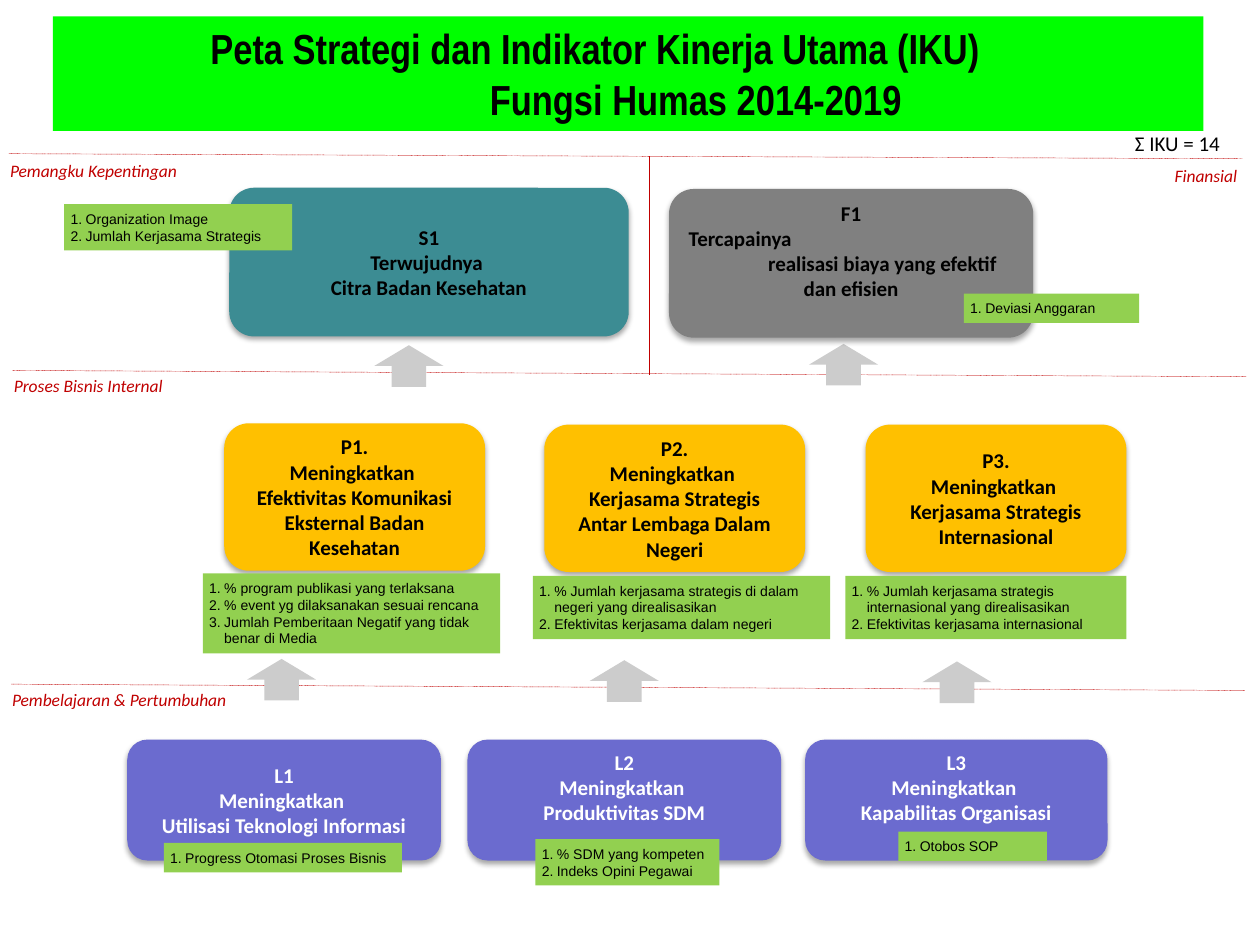
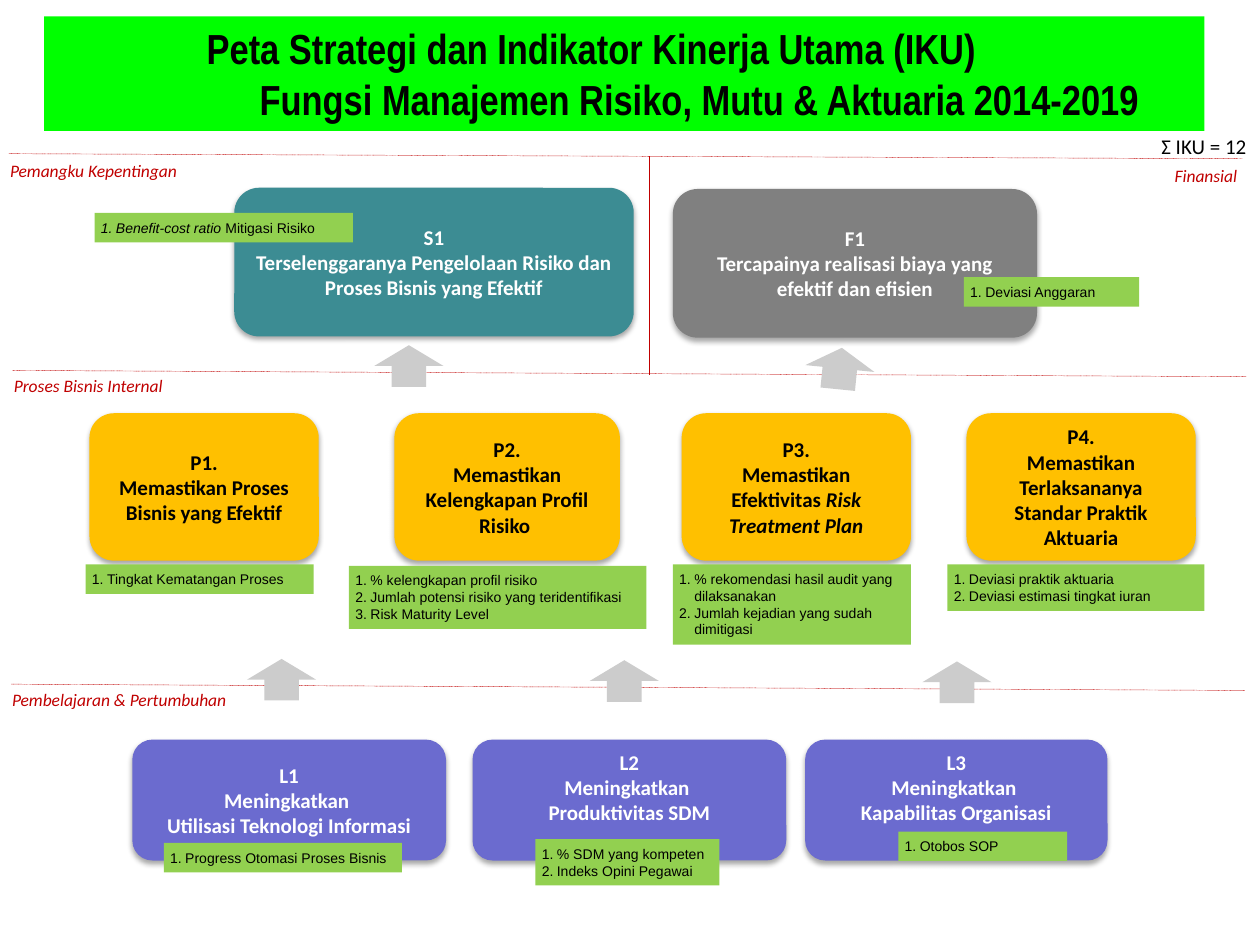
"""Builds two strategy maps with their key performance indicators."""
from collections import namedtuple
from math import ceil

from lxml import etree
from pptx import Presentation
from pptx.dml.color import RGBColor
from pptx.enum.dml import MSO_LINE
from pptx.enum.shapes import MSO_CONNECTOR, MSO_SHAPE
from pptx.enum.text import MSO_ANCHOR, MSO_AUTO_SIZE, PP_ALIGN
from pptx.oxml.ns import qn
from pptx.util import Inches, Pt

ROUNDED, RECTANGLE, UP_ARROW = MSO_SHAPE.ROUNDED_RECTANGLE, MSO_SHAPE.RECTANGLE, MSO_SHAPE.UP_ARROW
STRAIGHT, DOTTED = MSO_CONNECTOR.STRAIGHT, MSO_LINE.ROUND_DOT
LEFT, CENTER, RIGHT = PP_ALIGN.LEFT, PP_ALIGN.CENTER, PP_ALIGN.RIGHT
TOP, MIDDLE = MSO_ANCHOR.TOP, MSO_ANCHOR.MIDDLE
FIXED_SIZE = MSO_AUTO_SIZE.NONE

Style = namedtuple("Style", "font size color bold italic", defaults=(False, False))
Kind = namedtuple("Kind", "fill height")
Objective = namedtuple("Objective", "kind left top width lines note spare", defaults=(0,))
Note = namedtuple("Note", "left top width items")
Indented = namedtuple("Indented", "text margin")


class Theme:
    """Colours, type styles and text measures."""
    title_fill, note_fill, arrow_fill, rule = "00FF00", "92D050", "CCCCCC", "C00000"
    title = Style("Arial Narrow", 24, "000000", bold=True)
    dark = Style("Calibri", 12, "000000", bold=True)
    light = Style("Calibri", 12, "FFFFFF", bold=True)
    total = Style("Calibri", 12, "000000")
    section = Style("Calibri", 10, "C00000", italic=True)
    note = Style("Arial", 8, "000000")
    kinds = {
        "S": Kind("3C8C93", 1.18),
        "F": Kind("808080", 1.18),
        "P": Kind("FFC000", 1.17),
        "L": Kind("6B6BCF", 0.96),
    }
    objective_line, note_line, note_inset, note_indent = 0.2, 0.134, 0.05, 0.12
    note_characters_per_inch = 18.5


def learning(shift, last_note_width):
    """Return the learning row, its first two boxes moved by shift."""
    return [
        Objective("L", 1.01 + shift, 5.87, 2.49,
                  ["L1", "Meningkatkan ", "Utilisasi Teknologi Informasi"],
                  Note(1.3, 6.69, 1.89, ["Progress Otomasi Proses Bisnis"])),
        Objective("L", 3.71 + shift, 5.87, 2.49, ["L2", "Meningkatkan ", "Produktivitas SDM"],
                  Note(4.25, 6.66, 1.46, ["% SDM yang kompeten", "Indeks Opini Pegawai"]), 1),
        Objective("L", 6.39, 5.87, 2.4, ["L3", "Meningkatkan ", "Kapabilitas Organisasi"],
                  Note(7.13, 6.6, last_note_width, ["Otobos SOP"]), 1),
    ]


TITLE_START = "Peta Strategi dan Indikator Kinerja Utama (IKU)"
SECTIONS = [
    ("Pemangku Kepentingan", 0.08, 1.27, 1.67, LEFT),
    ("Finansial", 9.16, 1.31, 0.66, RIGHT),
    ("Proses Bisnis Internal", 0.11, 2.98, 1.67, LEFT),
    ("Pembelajaran & Pertumbuhan", 0.04, 5.47, 1.81, CENTER),
]
RULES = [
    (0.07, 1.22, 9.86, 1.26),
    (0.1, 2.94, 9.89, 2.99),
    (0.09, 5.43, 9.88, 5.48),
    (5.15, 1.24, 5.15, 2.97),
]
SHARED_ARROWS = [(2.97, 2.74, 0), (1.96, 5.23, 0), (4.68, 5.24, 0), (7.32, 5.25, 0)]
MAPS = [
    {
        "title": [Indented(TITLE_START, 1.15), "Fungsi Humas 2014-2019 "],
        "banner": (0.42, 0.13, 9.13, 0.91),
        "total": ("Ʃ IKU = 14", 8.86, 0.99),
        "financial_arrow": (6.42, 2.73, 0),
        "top_style": Theme.dark,
        "objectives": [
            Objective("S", 1.82, 1.49, 3.17, ["S1", "Terwujudnya ", "Citra Badan Kesehatan"],
                      Note(0.51, 1.62, 1.81, ["Organization Image", "Jumlah Kerjasama Strategis"])),
            Objective("F", 5.31, 1.5, 2.89,
                      ["F1", Indented("Tercapainya", 0),
                       Indented("realisasi biaya yang efektif", 0.63), "dan efisien"],
                      Note(7.65, 2.33, 1.39, ["Deviasi Anggaran"]), 1),
            Objective("P", 1.78, 3.36, 2.07,
                      ["P1.", "Meningkatkan ", "Efektivitas Komunikasi Eksternal Badan Kesehatan"],
                      Note(1.61, 4.55, 2.36,
                           ["% program publikasi yang terlaksana",
                            "% event yg dilaksanakan sesuai rencana",
                            "Jumlah Pemberitaan Negatif yang tidak benar di Media"])),
            Objective("P", 4.32, 3.37, 2.07,
                      ["P2.", "Meningkatkan ", "Kerjasama Strategis Antar Lembaga Dalam Negeri"],
                      Note(4.23, 4.57, 2.36,
                           ["% Jumlah kerjasama strategis di dalam negeri yang direalisasikan",
                            "Efektivitas kerjasama dalam negeri"])),
            Objective("P", 6.87, 3.37, 2.07,
                      ["P3.", "Meningkatkan ", "Kerjasama Strategis Internasional"],
                      Note(6.71, 4.57, 2.23,
                           ["% Jumlah kerjasama strategis internasional yang direalisasikan",
                            "Efektivitas kerjasama internasional"])),
            *learning(0, 1.18),
        ],
    },
    {
        "title": [Indented(TITLE_START, 1.19),
                  "Fungsi Manajemen Risiko, Mutu & Aktuaria 2014-2019"],
        "banner": (0.35, 0.13, 9.21, 0.91),
        "total": ("Ʃ IKU = 12", 9.07, 1.01),
        "financial_arrow": (6.39, 2.76, 5.7),
        "top_style": Theme.light,
        "objectives": [
            Objective("S", 1.86, 1.49, 3.17,
                      ["S1", "Terselenggaranya Pengelolaan Risiko dan Proses Bisnis yang Efektif"],
                      Note(0.75, 1.69, 2.05, ["*Benefit-cost ratio *Mitigasi Risiko"])),
            Objective("F", 5.34, 1.5, 2.89,
                      ["F1", "Tercapainya realisasi biaya yang efektif dan efisien"],
                      Note(7.65, 2.2, 1.39, ["Deviasi Anggaran"])),
            Objective("P", 0.71, 3.28, 1.82, ["P1.", "Memastikan Proses Bisnis yang Efektif"],
                      Note(0.68, 4.48, 1.81, ["Tingkat Kematangan Proses"])),
            Objective("P", 3.13, 3.28, 1.79, ["P2.", "Memastikan Kelengkapan Profil Risiko "],
                      Note(2.77, 4.49, 2.36,
                           ["% kelengkapan profil risiko",
                            "Jumlah potensi risiko yang teridentifikasi",
                            "Risk Maturity Level"])),
            Objective("P", 5.41, 3.28, 1.82,
                      ["P3.", "Memastikan Efektivitas *Risk Treatment Plan*"],
                      Note(5.34, 4.48, 1.89,
                           ["% rekomendasi hasil audit yang dilaksanakan",
                            "Jumlah kejadian yang sudah dimitigasi"])),
            Objective("P", 7.67, 3.28, 1.82,
                      ["P4.", "Memastikan Terlaksananya Standar Praktik Aktuaria"],
                      Note(7.52, 4.48, 2.04,
                           ["Deviasi praktik aktuaria", "Deviasi estimasi tingkat iuran"])),
            *learning(0.04, 1.34),
        ],
    },
]


def place(shape, *box):
    """Set the position and size of a shape in inches."""
    shape.left, shape.top, shape.width, shape.height = map(Inches, box)


def write(shape, lines, style, align=CENTER, anchor=TOP, insets=(0.1, 0.05, 0.1, 0.05),
          numbered=False):
    """Write one paragraph per line; text between asterisks is italic."""
    frame = shape.text_frame
    frame.word_wrap = True
    frame.auto_size = FIXED_SIZE
    frame.vertical_anchor = anchor
    frame.margin_left, frame.margin_top, frame.margin_right, frame.margin_bottom = map(Inches, insets)
    for index, line in enumerate(lines):
        paragraph = frame.add_paragraph() if index else frame.paragraphs[0]
        paragraph.alignment = align
        properties = paragraph._p.get_or_add_pPr()
        if numbered:
            properties.set("marL", str(Inches(Theme.note_indent)))
            properties.set("indent", str(-Inches(Theme.note_indent)))
            etree.SubElement(properties, qn("a:buAutoNum"), type="arabicPeriod")
        if isinstance(line, Indented):
            paragraph.alignment = LEFT
            properties.set("marL", str(Inches(line.margin)))
            line = line.text
        for part, text in enumerate(line.split("*")):
            if text:
                run = paragraph.add_run()
                run.text = text
                font = run.font
                font.name, font.size, font.bold = style.font, Pt(style.size), style.bold
                font.italic = style.italic or part % 2 == 1
                font.color.rgb = RGBColor.from_string(style.color)


def add_filled(slide, preset, color, *box):
    """Add a preset shape with a plain fill."""
    shape = slide.shapes.add_shape(preset, *map(Inches, box))
    shape.shadow.inherit = False
    shape.fill.solid()
    shape.fill.fore_color.rgb = RGBColor.from_string(color)
    shape.line.fill.background()
    return shape


def add_label(slide, text, style, box, **layout):
    """Add a single line of free text."""
    write(slide.shapes.add_textbox(*map(Inches, box)), [text], style, **layout)


def add_rule(slide, *ends):
    """Add a dotted dividing line."""
    rule = slide.shapes.add_connector(STRAIGHT, *map(Inches, ends))
    rule.line.color.rgb = RGBColor.from_string(Theme.rule)
    rule.line.width = Pt(0.25)
    rule.line.dash_style = DOTTED
    etree.SubElement(rule.element.spPr, qn("a:effectLst"))


def add_soft_shadow(shape):
    """Give a shape a soft shadow below it."""
    effects = shape.element.spPr.find(qn("a:effectLst"))
    shadow = etree.SubElement(effects, qn("a:outerShdw"), blurRad=str(Pt(3.1)), dist=str(Pt(1.8)),
                              dir="5400000", rotWithShape="0")
    color = etree.SubElement(shadow, qn("a:srgbClr"), val="000000")
    etree.SubElement(color, qn("a:alpha"), val="35000")


def add_note(slide, note):
    """Add a numbered indicator list, as tall as its wrapped lines."""
    per_line = note.width * Theme.note_characters_per_inch
    line_count = sum(ceil(len(item) / per_line) for item in note.items)
    height = 2 * Theme.note_inset + line_count * Theme.note_line
    shape = add_filled(slide, RECTANGLE, Theme.note_fill, note.left, note.top, note.width, height)
    write(shape, note.items, Theme.note, LEFT, insets=[Theme.note_inset] * 4, numbered=True)


def add_objective(slide, objective, top_style):
    """Add an objective box and its indicators."""
    kind = Theme.kinds[objective.kind]
    styles = {"P": Theme.dark, "L": Theme.light}
    shape = add_filled(slide, ROUNDED, kind.fill, objective.left, objective.top,
                       objective.width, kind.height)
    add_soft_shadow(shape)
    bottom = 0.05 + objective.spare * Theme.objective_line
    write(shape, objective.lines, styles.get(objective.kind, top_style), anchor=MIDDLE,
          insets=(0.1, 0.05, 0.1, bottom))
    add_note(slide, objective.note)


def add_map(presentation, content):
    """Add one strategy map slide."""
    slide = presentation.slides.add_slide(presentation.slide_layouts[5])
    title = slide.shapes.title
    place(title, *content["banner"])
    title.fill.solid()
    title.fill.fore_color.rgb = RGBColor.from_string(Theme.title_fill)
    write(title, content["title"], Theme.title)
    for ends in RULES:
        add_rule(slide, *ends)
    for text, left, top, width, align in SECTIONS:
        add_label(slide, text, Theme.section, (left, top, width, 0.17), align=align, insets=[0] * 4)
    text, left, top = content["total"]
    add_label(slide, text, Theme.total, (left, top, 0.97, 0.3))
    for left, top, rotation in [*SHARED_ARROWS, content["financial_arrow"]]:
        arrow = add_filled(slide, UP_ARROW, Theme.arrow_fill, left, top, 0.55, 0.33)
        arrow.rotation = rotation
    for objective in content["objectives"]:
        add_objective(slide, objective, content["top_style"])


def main():
    """Build and save the presentation."""
    presentation = Presentation()
    presentation.slide_width, presentation.slide_height = Inches(10), Inches(7.5)
    for content in MAPS:
        add_map(presentation, content)
    presentation.save("out.pptx")


if __name__ == "__main__":
    main()
